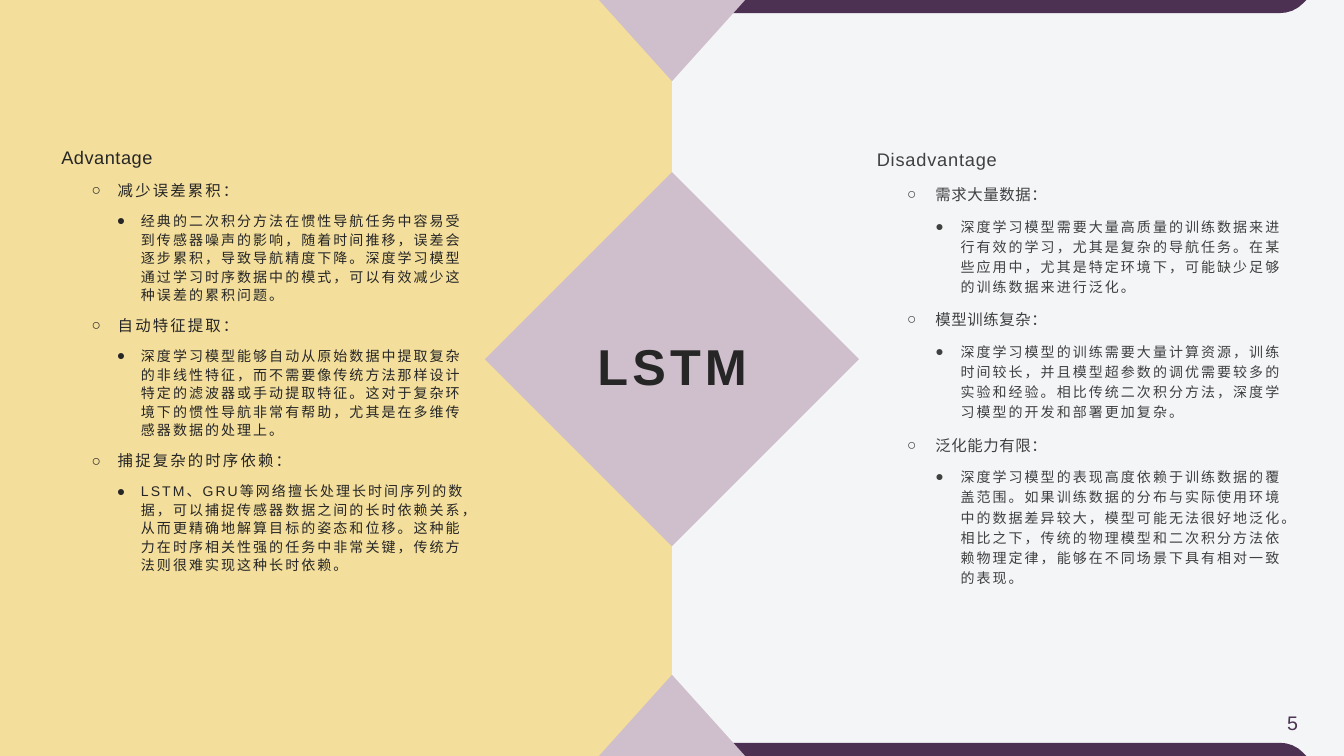
"""Build the slide that sets the advantages of LSTM against its disadvantages."""
from lxml.etree import SubElement
from pptx import Presentation
from pptx.dml.color import RGBColor
from pptx.enum.shapes import MSO_SHAPE as SHAPE
from pptx.enum.text import MSO_ANCHOR as ANCHOR, PP_ALIGN as ALIGN
from pptx.oxml.ns import qn
from pptx.util import Pt

COLORS = {
    "background": "F3F5F7",
    "plum": "4C3153",
    "sand": "F3DE9B",
    "mauve": "CFBFCC",
    "ink": "262626",
    "gray": "404040",
}
WIDTH, HEIGHT = 960, 540


def paint(shape, color):
    shape.shadow.inherit = False
    shape.fill.solid()
    shape.fill.fore_color.rgb = RGBColor.from_string(COLORS[color])
    shape.line.fill.background()


def write(paragraph, text, size, color, spacing=0, bold=False):
    run = paragraph.add_run()
    run.text = text
    run.font.name = "Arial"
    run.font.size = Pt(size)
    run.font.bold = bold
    run.font.color.rgb = RGBColor.from_string(COLORS[color])
    run._r.get_or_add_rPr().set("spc", str(round(spacing * 100)))


deck = Presentation()
deck.slide_width, deck.slide_height = Pt(WIDTH), Pt(HEIGHT)
slide = deck.slides.add_slide(deck.slide_layouts[6])
slide.background.fill.solid()
slide.background.fill.fore_color.rgb = RGBColor.from_string(COLORS["background"])
shapes = slide.shapes

page_number = shapes.add_textbox(Pt(897), Pt(504), Pt(52.5), Pt(29)).text_frame
page_number.word_wrap = True
page_number.paragraphs[0].alignment = ALIGN.CENTER
write(page_number.paragraphs[0], "5", 14, "plum")

right_corner = [(913.7, 9.4), (918.5, 9), (923, 7.7), (927.3, 5.4), (931, 2.2), (933.2, 0)]
left_corner = [(961.2 - x, y) for x, y in reversed(right_corner)]
bar_outline = right_corner + left_corner
for edge, direction in ((HEIGHT, -1), (0, 1)):
    corners = [(Pt(x), Pt(edge + direction * y)) for x, y in bar_outline]
    bar = shapes.build_freeform(*corners[0], scale=1.0)
    bar.add_line_segments(corners[1:], close=True)
    paint(bar.convert_to_shape(), "plum")

for kind, left, top, width, height, rotation, color in (
    (SHAPE.RECTANGLE, 0, 0, 480, HEIGHT, 0, "sand"),
    (SHAPE.ISOSCELES_TRIANGLE, 427.8, 0, 104.4, 58, 180, "mauve"),
    (SHAPE.DIAMOND, 346.4, 123, 267.2, 267.2, 0, "mauve"),
    (SHAPE.ISOSCELES_TRIANGLE, 427.8, 482, 104.4, 58, 0, "mauve"),
):
    panel = shapes.add_shape(kind, Pt(left), Pt(top), Pt(width), Pt(height))
    panel.rotation = rotation
    paint(panel, color)

topic = shapes.add_textbox(Pt(386.6), Pt(161.3), Pt(187.2), Pt(190.8)).text_frame
topic.word_wrap = True
topic.vertical_anchor = ANCHOR.MIDDLE
topic.paragraphs[0].alignment = ALIGN.CENTER
topic.paragraphs[0].line_spacing = 1.2
write(topic.paragraphs[0], "LSTM", 36, "ink", 3, True)

advantages = [
    ("减少误差累积：",
     "经典的二次积分方法在惯性导航任务中容易受到传感器噪声的影响，随着时间推移，误差会"
     "逐步累积，导致导航精度下降。深度学习模型通过学习时序数据中的模式，可以有效减少这"
     "种误差的累积问题。"),
    ("自动特征提取：",
     "深度学习模型能够自动从原始数据中提取复杂的非线性特征，而不需要像传统方法那样设计"
     "特定的滤波器或手动提取特征。这对于复杂环境下的惯性导航非常有帮助，尤其是在多维传"
     "感器数据的处理上。"),
    ("捕捉复杂的时序依赖：",
     "LSTM、GRU等网络擅长处理长时间序列的数据，可以捕捉传感器数据之间的长时依赖关"
     "系，从而更精确地解算目标的姿态和位移。这种能力在时序相关性强的任务中非常关键，传"
     "统方法则很难实现这种长时依赖。"),
]
disadvantages = [
    ("需求大量数据：",
     "深度学习模型需要大量高质量的训练数据来进行有效的学习，尤其是复杂的导航任务。在某"
     "些应用中，尤其是特定环境下，可能缺少足够的训练数据来进行泛化。"),
    ("模型训练复杂：",
     "深度学习模型的训练需要大量计算资源，训练时间较长，并且模型超参数的调优需要较多的"
     "实验和经验。相比传统二次积分方法，深度学习模型的开发和部署更加复杂。"),
    ("泛化能力有限：",
     "深度学习模型的表现高度依赖于训练数据的覆盖范围。如果训练数据的分布与实际使用环境"
     "中的数据差异较大，模型可能无法很好地泛化。相比之下，传统的物理模型和二次积分方法依"
     "赖物理定律，能够在不同场景下具有相对一致的表现。"),
]

SIZES, BULLETS = (13, 11, 10), ("", "○", "●")
for heading, points, left, color, line_spacing, tracking, indents in (
    ("Advantage", advantages, 36.7, "ink", 1.1, (0.4, 1.5, 1.5),
     ((0, 0), (40.3, -18.7), (56.9, -17.3))),
    ("Disadvantage", disadvantages, 619.2, "gray", 1.2, (0.6, 0.4, 1.5),
     ((0, 0), (41.8, -20.2), (59.8, -18))),
):
    column = shapes.add_textbox(Pt(left), Pt(99.4), Pt(303.8), Pt(373.7)).text_frame
    column.word_wrap = True
    entries = [(0, heading)]
    for claim, reason in points:
        entries += [(1, claim), (2, reason)]
    for level, text in entries:
        paragraph = column.add_paragraph() if level else column.paragraphs[0]
        paragraph.level = level
        paragraph.line_spacing = line_spacing
        paragraph.space_after = Pt(8)
        if level:
            properties = paragraph._p.get_or_add_pPr()
            margin, hanging = indents[level]
            properties.set("marL", str(Pt(margin)))
            properties.set("indent", str(Pt(hanging)))
            SubElement(properties, qn("a:buFont"), typeface="Arial")
            SubElement(properties, qn("a:buChar"), char=BULLETS[level])
        write(paragraph, text, SIZES[level], color, tracking[level])

deck.save("out.pptx")
